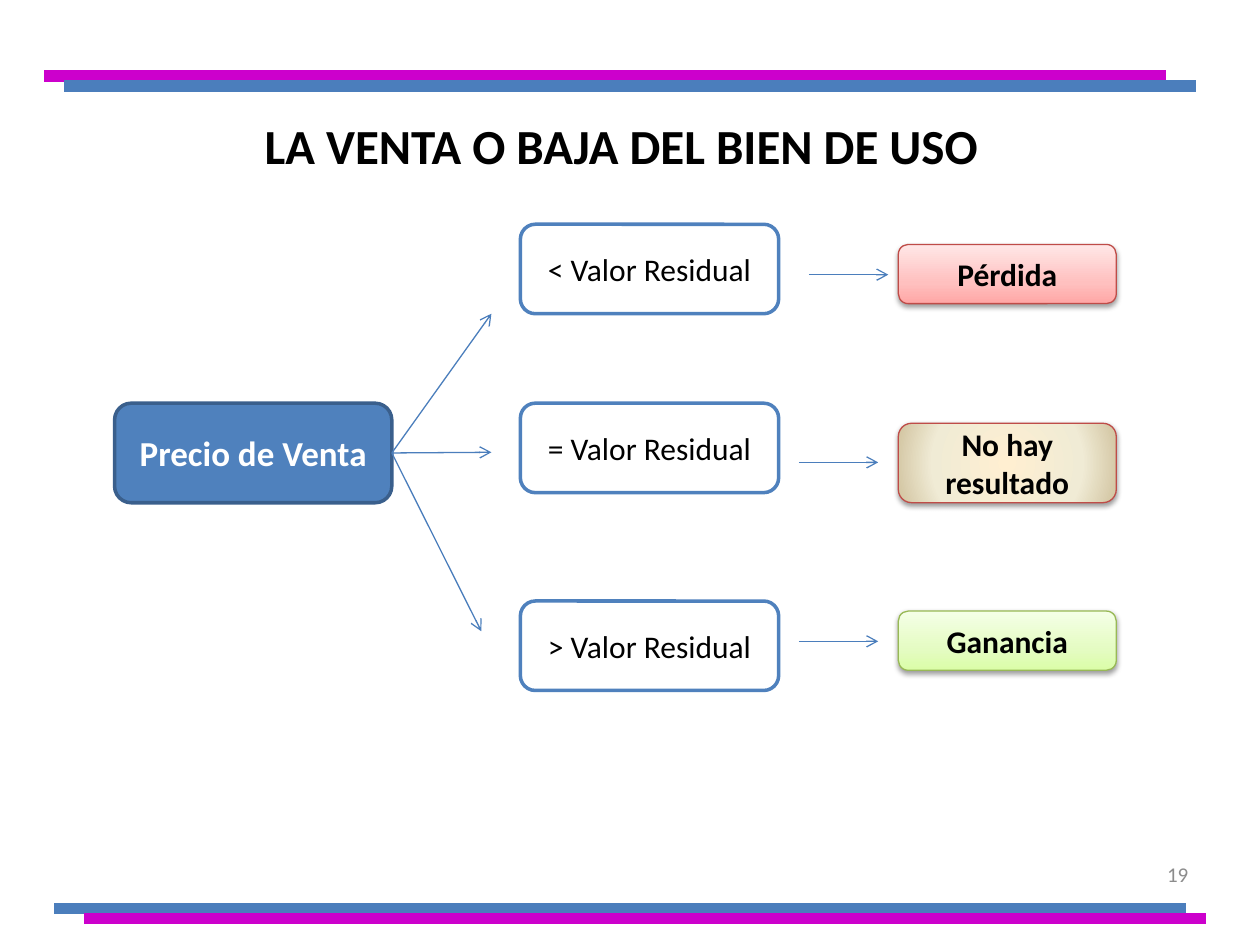
from dataclasses import dataclass

from pptx import Presentation
from pptx.dml.color import RGBColor
from pptx.enum.shapes import MSO_CONNECTOR, MSO_SHAPE
from pptx.enum.text import MSO_ANCHOR, PP_ALIGN
from pptx.oxml import parse_xml
from pptx.oxml.ns import nsdecls, qn
from pptx.oxml.xmlchemy import OxmlElement
from pptx.util import Inches, Pt


@dataclass(frozen=True)
class Theme:
    font: str = "Calibri"
    black: str = "000000"
    white: str = "FFFFFF"
    gray: str = "8C8C8C"
    blue: str = "4F81BD"
    dark_blue: str = "3A5F8C"
    line_blue: str = "4B7EBC"
    magenta: str = "CC00CC"
    red: str = "BF4C48"
    green: str = "98B955"
    pink_stops: tuple = ((0, "FFA6A5"), (35, "FFC0BF"), (100, "FFE7E7"))
    cream_stops: tuple = ((0, "FFEFD1"), (65, "F0EBD5"), (100, "D1C39F"))
    lime_stops: tuple = ((0, "DAFDA7"), (35, "E4FCC2"), (100, "F5FFE7"))
    title_size: int = 28
    source_size: int = 20
    box_size: int = 18
    number_size: int = 12
    rule_width: float = 6.75
    box_line: float = 2
    thin_line: float = 0.75


UPWARD = '<a:lin ang="16200000" scaled="1"/>'
RADIAL = ('<a:path path="circle"><a:fillToRect l="50000" t="50000" '
          'r="50000" b="50000"/></a:path>')


class SlideBuilder:
    def __init__(self, slide, theme):
        self.slide = slide
        self.theme = theme

    def set_text(self, shape, text, size, color, bold=False, align=PP_ALIGN.CENTER):
        frame = shape.text_frame
        frame.text = text
        frame.word_wrap = True
        frame.vertical_anchor = MSO_ANCHOR.MIDDLE
        paragraph = frame.paragraphs[0]
        paragraph.alignment = align
        font = paragraph.runs[0].font
        font.name, font.size, font.bold = self.theme.font, Pt(size), bold
        font.color.rgb = RGBColor.from_string(color)

    def title(self, text, left, top, width, height):
        heading = self.slide.shapes.title
        heading.left, heading.top = Inches(left), Inches(top)
        heading.width, heading.height = Inches(width), Inches(height)
        self.set_text(heading, text, self.theme.title_size, self.theme.black, bold=True)
        # The heading sits in the upper part of its frame
        heading.text_frame.margin_bottom = Inches(0.52)

    def label(self, text, left, top, width, height):
        box = self.slide.shapes.add_textbox(*map(Inches, (left, top, width, height)))
        self.set_text(box, text, self.theme.number_size, self.theme.gray,
                      align=PP_ALIGN.RIGHT)

    def line(self, start, end, color, width, arrow=False):
        connector = self.slide.shapes.add_connector(
            MSO_CONNECTOR.STRAIGHT, *map(Inches, (*start, *end)))
        connector.line.color.rgb = RGBColor.from_string(color)
        connector.line.width = Pt(width)
        connector._element.spPr.append(OxmlElement("a:effectLst"))
        if arrow:
            head = OxmlElement("a:tailEnd")
            head.set("type", "arrow")
            connector.line._get_or_add_ln().append(head)
        return connector

    def arrow(self, start, end):
        return self.line(start, end, self.theme.line_blue, self.theme.thin_line,
                         arrow=True)

    def box(self, text, bounds, fill, outline, line_width, size, color, bold=False):
        box = self.slide.shapes.add_shape(
            MSO_SHAPE.ROUNDED_RECTANGLE, *map(Inches, bounds))
        box.shadow.inherit = False
        box.fill.solid()
        box.fill.fore_color.rgb = RGBColor.from_string(fill)
        box.line.color.rgb = RGBColor.from_string(outline)
        box.line.width = Pt(line_width)
        self.set_text(box, text, size, color, bold)
        return box

    def result(self, text, bounds, stops, direction, outline):
        """Draw an outcome box with a gradient fill and a soft drop shadow."""
        theme = self.theme
        box = self.box(text, bounds, stops[0][1], outline, theme.thin_line,
                       theme.box_size, theme.black, bold=True)
        properties = box._element.spPr
        stop_xml = "".join(
            f'<a:gs pos="{percent * 1000}"><a:srgbClr val="{color}"/></a:gs>'
            for percent, color in stops)
        properties.replace(properties.find(qn("a:solidFill")), parse_xml(
            f'<a:gradFill {nsdecls("a")} rotWithShape="1">'
            f'<a:gsLst>{stop_xml}</a:gsLst>{direction}</a:gradFill>'))
        properties.find(qn("a:effectLst")).append(parse_xml(
            f'<a:outerShdw {nsdecls("a")} blurRad="{Pt(3.1)}" dist="{Pt(1.6)}" '
            f'dir="5400000" rotWithShape="0"><a:srgbClr val="{theme.black}">'
            '<a:alpha val="38000"/></a:srgbClr></a:outerShdw>'))


def main():
    presentation = Presentation()
    presentation.slide_width, presentation.slide_height = Inches(10), Inches(7.5)
    theme = Theme()
    slide = presentation.slides.add_slide(presentation.slide_layouts[5])
    builder = SlideBuilder(slide, theme)

    for left, right, y, color in (
        (0.43, 9.41, 7.21, theme.line_blue),
        (0.67, 9.57, 7.29, theme.magenta),
        (0.35, 9.25, 0.6, theme.magenta),
        (0.51, 9.49, 0.68, theme.line_blue),
    ):
        builder.line((left, y), (right, y), color, theme.rule_width)

    builder.label("19", 7.2, 6.74, 2.33, 0.4)
    builder.title("LA VENTA O BAJA DEL BIEN DE USO", 0.43, 0.76, 9, 1.25)

    sale_price = builder.box("Precio de Venta", (0.91, 3.2, 2.2, 0.79), theme.blue,
                             theme.dark_blue, theme.box_line, theme.source_size,
                             theme.white, bold=True)
    for tip in ((3.9, 2.49), (3.9, 3.59), (3.82, 5.01)):
        builder.arrow((3.11, 3.59), tip).begin_connect(sale_price, 3)

    for sign, top, arrow_left, arrow_y in (
        ("<", 1.78, 6.42, 2.18),
        ("=", 3.2, 6.34, 3.67),
        (">", 4.77, 6.34, 5.09),
    ):
        builder.box(f"{sign} Valor Residual", (4.13, top, 2.05, 0.71), theme.white,
                    theme.blue, theme.box_line, theme.box_size, theme.black)
        builder.arrow((arrow_left, arrow_y), (arrow_left + 0.63, arrow_y))

    for text, top, height, stops, direction, outline in (
        ("Pérdida", 1.94, 0.47, theme.pink_stops, UPWARD, theme.red),
        ("No hay resultado", 3.36, 0.63, theme.cream_stops, RADIAL, theme.red),
        ("Ganancia", 4.85, 0.47, theme.lime_stops, UPWARD, theme.green),
    ):
        builder.result(text, (7.13, top, 1.73, height), stops, direction, outline)

    presentation.save("out.pptx")


if __name__ == "__main__":
    main()
